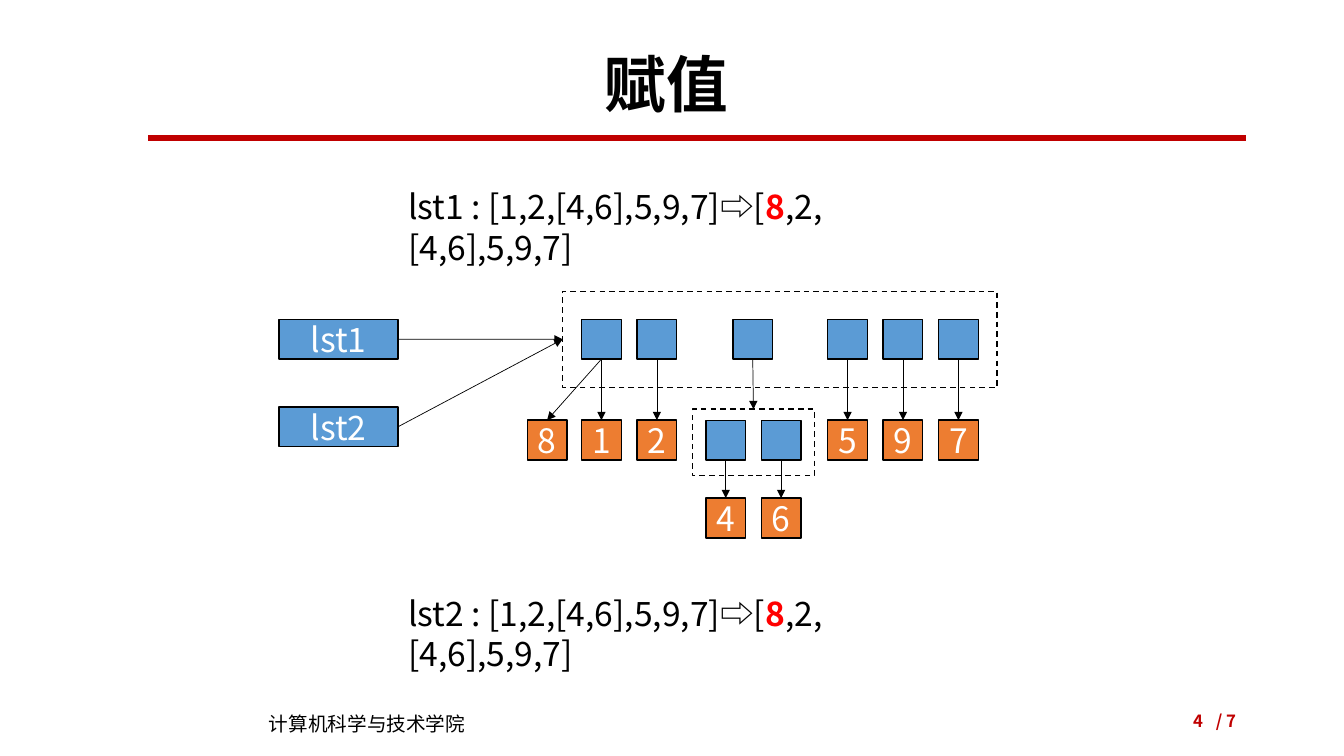
import dataclasses

import pptx
import pptx.dml.color
import pptx.enum.dml
import pptx.enum.shapes
import pptx.enum.text
import pptx.oxml
import pptx.oxml.ns
import pptx.util

Pt = pptx.util.Pt
ALIGN = pptx.enum.text.PP_ALIGN
ANCHOR = pptx.enum.text.MSO_ANCHOR


@dataclasses.dataclass(frozen=True)
class Theme:
    font: str = "Noto Sans CJK SC"
    title_font: str = "Calibri"
    black: str = "000000"
    white: str = "FFFFFF"
    reference: str = "5B9BD5"
    value: str = "ED7D31"
    accent: str = "C00000"
    changed: str = "FF0000"
    title_size: float = 44
    body_size: float = 24
    footer_size: float = 14
    page_size: float = 12


THEME = Theme()
CELL = 28.4
PITCH = 39.6


def rgb(color):
    return pptx.dml.color.RGBColor.from_string(color)


def style_run(run, size, color, bold=False, font=THEME.font):
    run.font.name = font
    run.font.size = Pt(size)
    run.font.bold = bold
    run.font.color.rgb = rgb(color)
    east_asian = run.font._element.makeelement(
        pptx.oxml.ns.qn("a:ea"), {"typeface": THEME.font})
    run.font._element.find(pptx.oxml.ns.qn("a:latin")).addnext(east_asian)


def add_text(slide, box, pieces, size, align=ALIGN.LEFT, anchor=ANCHOR.TOP, font=THEME.font):
    """Add one paragraph; pieces are (text, color, bold) runs."""
    shape = slide.shapes.add_textbox(*map(Pt, box))
    frame = shape.text_frame
    frame.word_wrap = True
    frame.vertical_anchor = anchor
    paragraph = frame.paragraphs[0]
    paragraph.alignment = align
    for text, color, bold in pieces:
        run = paragraph.add_run()
        run.text = text
        style_run(run, size, color, bold, font)
    return paragraph


def add_box(slide, left, top, width=CELL, height=CELL, fill=None, text=""):
    """Add an outlined rectangle; without a fill it is a dashed frame."""
    shape = slide.shapes.add_shape(
        pptx.enum.shapes.MSO_SHAPE.RECTANGLE, *map(Pt, (left, top, width, height)))
    shape.shadow.inherit = False
    shape.line.color.rgb = rgb(THEME.black)
    shape.line.width = Pt(1)
    if fill:
        shape.fill.solid()
        shape.fill.fore_color.rgb = rgb(fill)
    else:
        shape.fill.background()
        shape.line.dash_style = pptx.enum.dml.MSO_LINE.DASH
    if text:
        frame = shape.text_frame
        frame.margin_left = frame.margin_right = frame.margin_top = frame.margin_bottom = 0
        frame.word_wrap = False
        frame.vertical_anchor = ANCHOR.MIDDLE
        frame.text = text
        frame.paragraphs[0].alignment = ALIGN.CENTER
        style_run(frame.paragraphs[0].runs[0], THEME.body_size, THEME.white)
    return shape


def add_line(slide, ends, color, width):
    line = slide.shapes.add_connector(
        pptx.enum.shapes.MSO_CONNECTOR.STRAIGHT, *map(Pt, ends))
    line.line.color.rgb = rgb(color)
    line.line.width = Pt(width)
    properties = line._element.spPr
    properties.append(properties.makeelement(pptx.oxml.ns.qn("a:effectLst"), {}))
    return line


def add_arrow(slide, source, target, source_side=2, target_side=0):
    arrow = add_line(slide, (0, 0, 0, 0), THEME.black, 0.5)
    arrow.begin_connect(source, source_side)
    arrow.end_connect(target, target_side)
    outline = arrow.line._get_or_add_ln()
    outline.append(outline.makeelement(pptx.oxml.ns.qn("a:tailEnd"), {"type": "triangle"}))


def add_reference(slide, left, top, value, drop):
    """Add a reference cell with an arrow to the value cell below it."""
    reference = add_box(slide, left, top, fill=THEME.reference)
    target = add_box(slide, left, top + drop, fill=THEME.value, text=value)
    add_arrow(slide, reference, target)
    return reference


def add_nested_list(slide, left, top, width, height, values):
    frame = add_box(slide, left, top, width, height)
    first = left + (width - CELL - PITCH * (len(values) - 1)) / 2
    for index, value in enumerate(values):
        add_reference(slide, first + index * PITCH, top + 8, value, 55.5)
    return frame


def add_list(slide, left, top, width, height):
    frame = add_box(slide, left, top, width, height)
    cell_top = top + (height - CELL) / 2
    drop = 72
    for offset, values in ((13.5, "12"), (189.3, "597")):
        for index, value in enumerate(values):
            reference = add_reference(
                slide, left + offset + index * PITCH, cell_top, value, drop)
            if value == "1":
                new_value = add_box(slide, left - 25.3, cell_top + drop,
                                    fill=THEME.value, text="8")
                add_arrow(slide, reference, new_value)
    middle = add_box(slide, left + 121.6, cell_top, fill=THEME.reference)
    nested = add_nested_list(slide, left + 92.6, top + 84.2, 87.4, 47.5, "46")
    add_arrow(slide, middle, nested)
    return frame


def add_names(slide, left, top, target):
    for index, name in enumerate(("lst1", "lst2")):
        label = add_box(slide, left, top + index * 62.4, 85, CELL, THEME.reference, name)
        add_arrow(slide, label, target, 3, 1)


def add_result(slide, box, name):
    add_text(slide, box, [
        (f"{name} : [1,2,[4,6],5,9,7]⇨[", THEME.black, False),
        ("8", THEME.changed, True),
        (",2,[4,6],5,9,7]", THEME.black, False),
    ], THEME.body_size)


def add_header(slide, left, top, width, height):
    title = add_text(slide, (left, top, width, height), [("赋值", THEME.black, True)],
                     THEME.title_size, ALIGN.CENTER, ANCHOR.MIDDLE, THEME.title_font)
    title.line_spacing = 0.9
    rule_y = top + height + 2.2
    add_line(slide, (left + 44, rule_y, left + width, rule_y), THEME.accent, 4.5)


def add_footer(slide, left, top, width, height):
    add_text(slide, (left, top + 4.4, 210, 24.5),
             [("计算机科学与技术学院", THEME.black, False)], THEME.footer_size)
    right = left + width
    for text, end, text_width in (("4", right - 23.6, 188), ("/ 7", right, 54)):
        add_text(slide, (end - text_width, top, text_width, height),
                 [(text, THEME.accent, True)], THEME.page_size, ALIGN.RIGHT, ANCHOR.MIDDLE)


def main():
    presentation = pptx.Presentation()
    presentation.slide_width, presentation.slide_height = Pt(960), Pt(540)
    slide = presentation.slides.add_slide(presentation.slide_layouts[6])
    add_header(slide, 62, 28.8, 828, 67.7)
    add_result(slide, (284.4, 129.6, 405.4, 36), "lst1")
    list_frame = add_list(slide, 401.9, 208.1, 310.3, 68.5)
    add_names(slide, 199.4, 228.2, list_frame)
    add_result(slide, (284.4, 419.8, 405.4, 36), "lst2")
    add_footer(slide, 185, 500.4, 705, 28.8)
    presentation.save("out.pptx")


if __name__ == "__main__":
    main()
